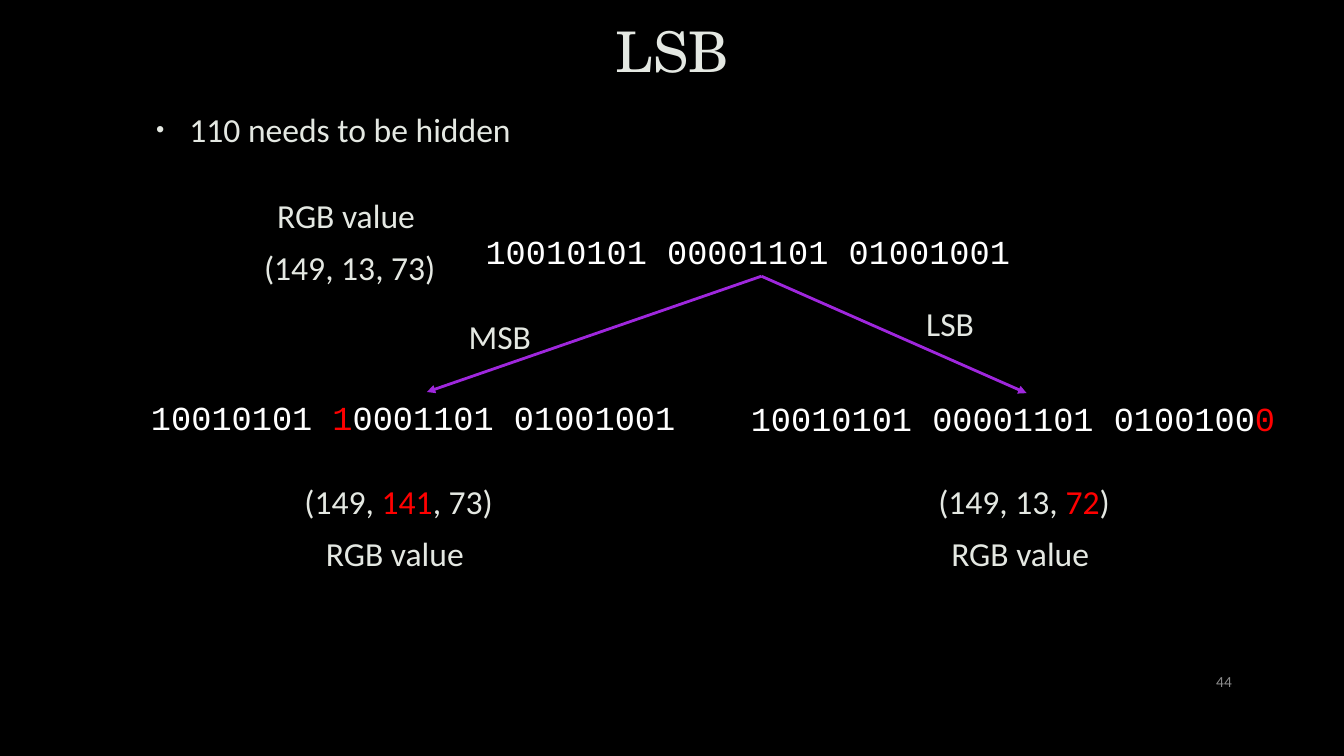
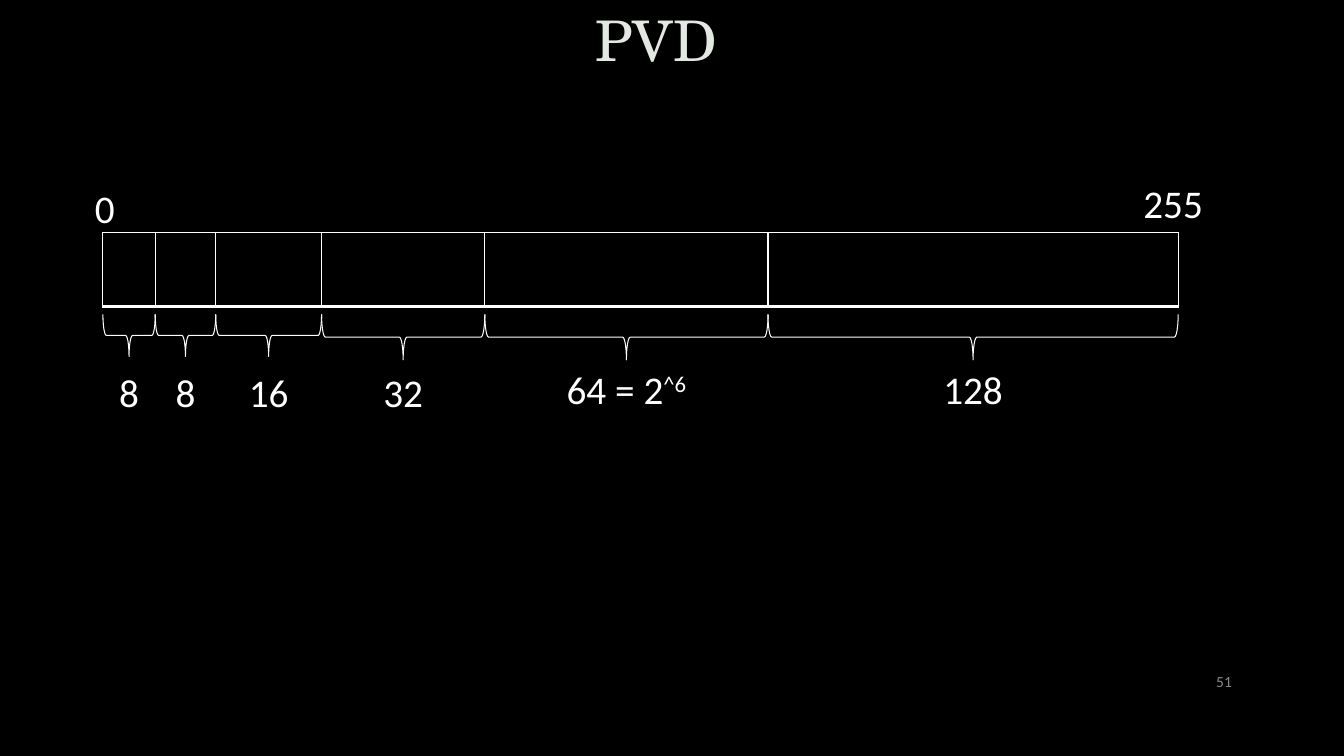
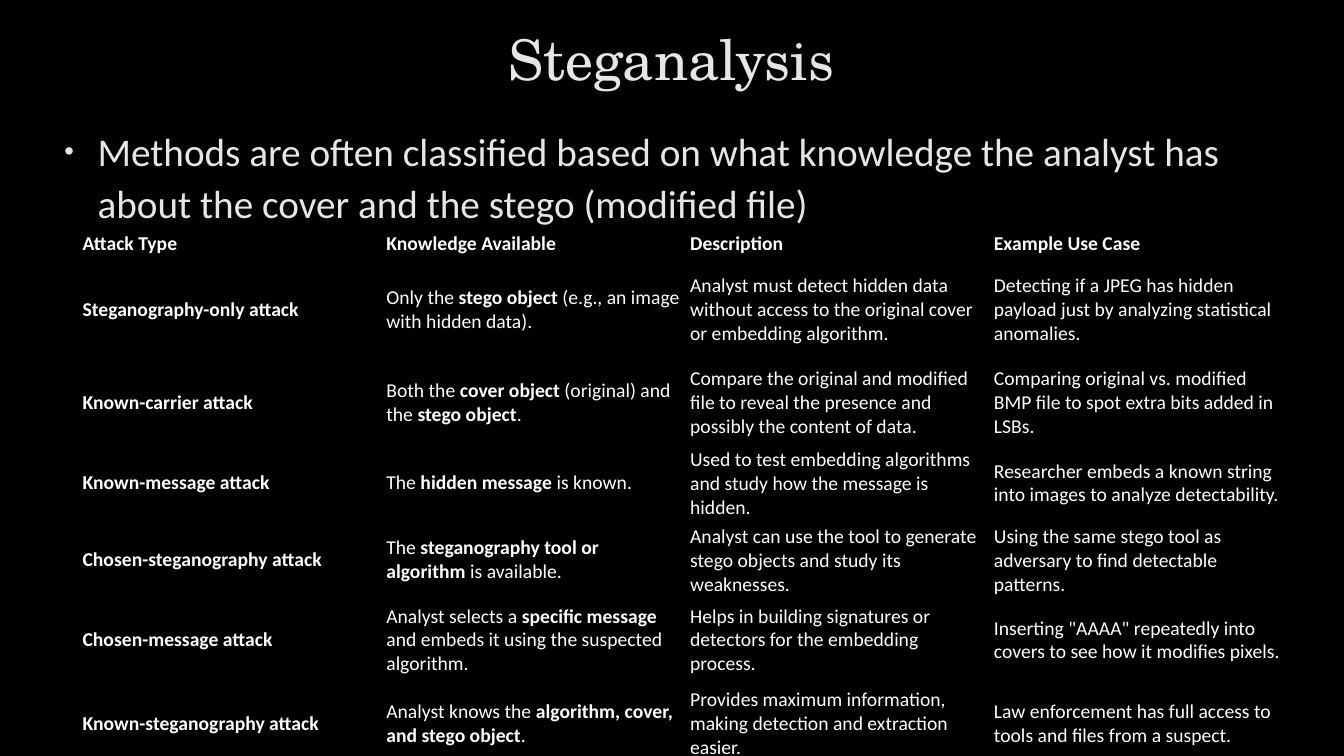
from dataclasses import dataclass
from itertools import accumulate

from lxml import etree
from pptx import Presentation
from pptx import util as u
from pptx.dml.color import RGBColor
from pptx.enum import shapes, text
from pptx.oxml import ns

Pt = u.Pt
LEFT, MID, RIGHT = text.PP_ALIGN.LEFT, text.PP_ALIGN.CENTER, text.PP_ALIGN.RIGHT
PLAIN = "{2D5ABB26-0587-4C30-8999-92F81FD0307C}"


@dataclass(frozen=True)
class Theme:
    """Colours, fonts and type sizes of the deck."""
    back: str = "000000"
    ink: str = "FFFFFF"
    soft: str = "E4E8E2"
    dim: str = "8C8C8C"
    hot: str = "FF0000"
    arrow: str = "9F27DD"
    head: str = "TeX Gyre Schola"
    body: str = "Calibri"
    mono: str = "Courier New"
    title: float = 40
    large: float = 28
    base: float = 24
    small: float = 14
    page: float = 11


def rgb(hue):
    """Turn a hex string into a colour."""
    return RGBColor.from_string(hue)


def sub(node, tag, **attrs):
    """Add a DrawingML child element."""
    return etree.SubElement(node, ns.qn("a:" + tag), attrs)


def bold(run):
    """Mark a run as bold."""
    run.font.bold = True


def lift(run):
    """Mark a run as superscript."""
    run.font._element.set("baseline", "30000")


class Deck:
    """Holds the style and the current slide."""

    def __init__(self, look):
        """Open an empty wide deck."""
        self.look = look
        self.prs = Presentation()
        self.prs.slide_width, self.prs.slide_height = Pt(960), Pt(540)
        self.slide = None

    def page(self, name, box, num=None):
        """Start a slide with its title and page number."""
        look = self.look
        self.slide = self.prs.slides.add_slide(self.prs.slide_layouts[6])
        fill = self.slide.background.fill
        fill.solid()
        fill.fore_color.rgb = rgb(look.back)
        self.label(box, [name], look.title, look.head, look.soft, MID, True, lead=0.9)
        if num:
            self.label((828, 472.3, 59, 28.8), [num], look.page, hue=look.dim,
                       align=RIGHT, center=True)

    def red(self, run):
        """Mark a run with the accent colour."""
        run.font.color.rgb = rgb(self.look.hot)

    def fill(self, para, line, size, font, hue, mark):
        """Write runs, marking the parts set between asterisks."""
        for i, part in enumerate(line.split("*")):
            if not part:
                continue
            run = para.add_run()
            run.text = part
            run.font.size, run.font.name = Pt(size), font
            run.font.color.rgb = rgb(hue)
            if i % 2:
                mark(run)

    def label(self, box, lines, size, font=None, hue=None, align=LEFT, center=False,
              lead=None, after=None, inset=0, bullet=False, mark=None):
        """Add a text box with one paragraph per line."""
        look = self.look
        shape = self.slide.shapes.add_textbox(*map(Pt, box))
        frame = shape.text_frame
        frame.word_wrap = True
        if center:
            frame.vertical_anchor = text.MSO_ANCHOR.MIDDLE
        for i, line in enumerate(lines):
            para = frame.add_paragraph() if i else frame.paragraphs[0]
            para.alignment = align
            if lead:
                para.line_spacing = lead
            if after:
                para.space_after = Pt(after)
                if i:
                    para.space_before = Pt(size * 0.2)
            props = para._p.get_or_add_pPr()
            if bullet:
                props.set("marL", str(Pt(27.4)))
                props.set("indent", str(Pt(-23.8)))
                sub(sub(props, "buClr"), "srgbClr", val=look.soft)
                sub(props, "buSzPct", val="70000")
                sub(props, "buFont", typeface="Arial")
                sub(props, "buChar", char="•")
            elif inset:
                props.set("marL", str(Pt(inset)))
            self.fill(para, line, size, font or look.body, hue or look.ink, mark or self.red)
        return shape

    def point(self, box, line, size):
        """Add a bulleted statement."""
        self.label(box, [line], size, hue=self.look.soft, lead=1.1, after=6, bullet=True)

    def bits(self, left, top, line):
        """Add a row of binary digits."""
        return self.label((left, top, 408.2, 36), [line], self.look.base, self.look.mono)

    def pair(self, left, top, width, lines):
        """Add a centred two-line caption."""
        self.label((left, top, width, 82), lines, self.look.base, hue=self.look.soft,
                   align=MID, lead=0.9, after=6, inset=2.9)

    def tag(self, left, top, line):
        """Add a caption beside an arrow."""
        self.label((left, top, 82, 57), [line], self.look.base, hue=self.look.soft,
                   lead=1.1, after=6, inset=2.9)

    def value(self, mid, top, line, width=76.3):
        """Add a large number centred on a point."""
        self.label((mid - width / 2, top, width, 45.4), [line], self.look.large,
                   align=MID, center=True, mark=lift)

    def arrow(self, src, dst):
        """Join the bottom of one shape to the top of another."""
        link = self.slide.shapes.add_connector(shapes.MSO_CONNECTOR.STRAIGHT, 0, 0, 0, 0)
        link.begin_connect(src, 2)
        link.end_connect(dst, 0)
        link.line.color.rgb = rgb(self.look.arrow)
        link.line.width = Pt(2)
        sub(link.line._get_or_add_ln(), "tailEnd", type="triangle")
        sub(link._element.spPr, "effectLst")

    def brace(self, start, end, top, depth):
        """Add a brace that opens upwards and spans start to end."""
        span = end - start
        shape = self.slide.shapes.add_shape(
            shapes.MSO_SHAPE.LEFT_BRACE, Pt((start + end - depth) / 2),
            Pt(top + (depth - span) / 2), Pt(depth), Pt(span))
        shape.rotation = 270
        shape.shadow.inherit = False
        shape.fill.background()
        shape.line.color.rgb = rgb(self.look.ink)
        shape.line.width = Pt(0.75)

    def grid(self, left, top, cols, rows):
        """Add a plain table without fills or lines."""
        frame = self.slide.shapes.add_table(
            len(rows), len(cols), Pt(left), Pt(top), Pt(sum(cols)), Pt(sum(rows)))
        table = frame.table
        table.first_row = table.horz_banding = False
        table._tbl.tblPr.find(ns.qn("a:tableStyleId")).text = PLAIN
        for col, width in zip(table.columns, cols):
            col.width = Pt(width)
        for row, height in zip(table.rows, rows):
            row.height = Pt(height)
        for cell in table.iter_cells():
            cell.fill.background()
        return table

    def edge(self, cell, sides):
        """Draw the borders of a cell, given a width for each side."""
        props = cell._tc.get_or_add_tcPr()
        for i, (side, width) in enumerate(sides.items()):
            line = etree.Element(ns.qn("a:ln" + side), w=str(Pt(width)))
            sub(sub(line, "solidFill"), "srgbClr", val=self.look.ink)
            props.insert(i, line)

    def sheet(self, left, top, cols, rows, data):
        """Add a text table with a bold first row and column."""
        table = self.grid(left, top, cols, rows)
        for r, line in enumerate(data):
            for c, words in enumerate(line):
                cell = table.cell(r, c)
                cell.vertical_anchor = text.MSO_ANCHOR.MIDDLE
                cell.margin_left = cell.margin_right = Pt(3.6)
                cell.margin_top = cell.margin_bottom = Pt(2.2)
                if r == 0 or c == 0:
                    words = f"*{words}*"
                self.fill(cell.text_frame.paragraphs[0], words, self.look.small,
                          self.look.body, self.look.ink, bold)


ATTACKS = [
    ("Attack Type", "Knowledge Available", "Description", "Example Use Case"),
    ("Steganography-only attack",
     "Only the *stego object* (e.g., an image with hidden data).",
     "Analyst must detect hidden data without access to the original cover or embedding algorithm.",
     "Detecting if a JPEG has hidden payload just by analyzing statistical anomalies."),
    ("Known-carrier attack",
     "Both the *cover object* (original) and the *stego object*.",
     "Compare the original and modified file to reveal the presence and possibly the content of data.",
     "Comparing original vs. modified BMP file to spot extra bits added in LSBs."),
    ("Known-message attack",
     "The *hidden message* is known.",
     "Used to test embedding algorithms and study how the message is hidden.",
     "Researcher embeds a known string into images to analyze detectability."),
    ("Chosen-steganography attack",
     "The *steganography tool or algorithm* is available.",
     "Analyst can use the tool to generate stego objects and study its weaknesses.",
     "Using the same stego tool as adversary to find detectable patterns."),
    ("Chosen-message attack",
     "Analyst selects a *specific message* and embeds it using the suspected algorithm.",
     "Helps in building signatures or detectors for the embedding process.",
     "Inserting \"AAAA\" repeatedly into covers to see how it modifies pixels."),
    ("Known-steganography attack",
     "Analyst knows the *algorithm, cover, and stego object*.",
     "Provides maximum information, making detection and extraction easier.",
     "Law enforcement has full access to tools and files from a suspect."),
]


def lsb(deck):
    """Build the bit replacement slide."""
    deck.page("LSB", (72.7, 2.2, 815, 73.4), "44")
    deck.point((100.8, 71.3, 815, 44.6), "110 needs to be hidden", deck.look.base)
    root = deck.bits(339.8, 161.3, "10010101 00001101 01001001")
    high = deck.bits(100.8, 280, "10010101 *1*0001101 01001001")
    low = deck.bits(529.2, 280.8, "10010101 00001101 0100100*0*")
    deck.arrow(root, high)
    deck.arrow(root, low)
    deck.tag(324.7, 218.9, "MSB")
    deck.tag(651.6, 210.2, "LSB")
    deck.pair(157, 139, 182.9, ["RGB value ", "(149, 13, 73)"])
    deck.pair(182.9, 343.4, 200.9, ["(149, *141*, 73)", "RGB value "])
    deck.pair(638.6, 343.4, 182.9, ["(149, 13, *72*)", "RGB value "])


def pvd(deck):
    """Build the range division slide."""
    deck.page("PVD", (61.2, -2.9, 815, 68.4), "51")
    left, cols = 73.5, [37.4, 43.2, 75.6, 116.6, 202.3, 293]
    table = deck.grid(left, 166.3, cols, [52.6])
    for cell in table.iter_cells():
        deck.edge(cell, {"L": 1, "R": 1, "T": 1, "B": 3})
    marks = list(accumulate(cols, initial=left))
    parts = [("8", 30, 257), ("8", 30, 257), ("16", 30, 257),
             ("32", 32.4, 257), ("64 = 2*^6*", 32.4, 255), ("128", 32.4, 255)]
    for start, end, (name, depth, top) in zip(marks, marks[1:], parts):
        deck.brace(start, end, 224.6, depth)
        deck.value((start + end) / 2, top, name, 131 if "=" in name else 76.3)
    deck.value(74.9, 126, "0")
    deck.value(838, 122.4, "255")


def attacks(deck):
    """Build the attack overview slide."""
    deck.page("Steganalysis", (72, 4.3, 815, 79.9))
    deck.point((35.3, 84.2, 887.8, 362.9),
               "Methods are often classified based on what knowledge the analyst has "
               "about the cover and the stego (modified file)", deck.look.large)
    deck.sheet(55.4, 163.4, [217] * 4, [18, 73.4, 59.8, 46.1, 46.1, 59.8, 59.8], ATTACKS)


def main():
    """Build and save the deck."""
    deck = Deck(Theme())
    for build in (lsb, pvd, attacks):
        build(deck)
    deck.prs.save("out.pptx")


if __name__ == "__main__":
    main()
